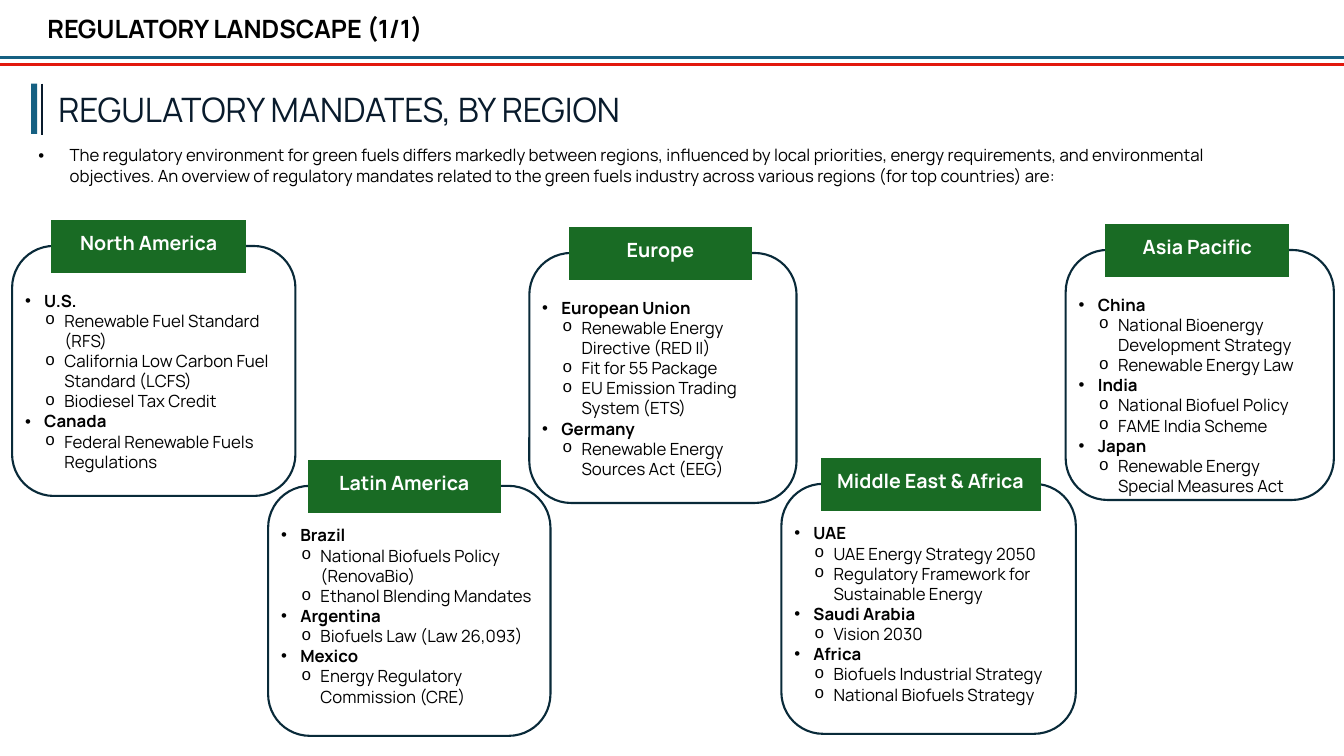
from lxml import etree
from pptx import Presentation
from pptx.dml.color import RGBColor
from pptx.enum.shapes import MSO_CONNECTOR, MSO_SHAPE
from pptx.enum.text import MSO_ANCHOR, MSO_AUTO_SIZE, PP_ALIGN
from pptx.oxml.ns import qn
from pptx.util import Inches, Pt

LEFT, CENTER = PP_ALIGN.LEFT, PP_ALIGN.CENTER
TOP, BOTTOM = MSO_ANCHOR.TOP, MSO_ANCHOR.BOTTOM
STRAIGHT = MSO_CONNECTOR.STRAIGHT
RECTANGLE, ROUNDED = MSO_SHAPE.RECTANGLE, MSO_SHAPE.ROUNDED_RECTANGLE
PROCESS = MSO_SHAPE.FLOWCHART_PROCESS
FIT_SHAPE = MSO_AUTO_SIZE.SHAPE_TO_FIT_TEXT
WIDTH, HEIGHT = 13.33, 7.5
BLUE, RED, NAVY, OUTLINE, GREEN = "156082", "E2180D", "091B2C", "092A39", "196B24"
BLACK, WHITE = "000000", "FFFFFF"

CARD_HEIGHT, LABEL_HEIGHT = 2.48, 0.53
LABEL_INSET, LABEL_RISE = 0.39, 0.26
UPPER_GAP, LOWER_GAP = 0.39, 0.34  # card top to list top

# region, card left, top and width, label width, list gap, mandates by country
REGIONS = [
    ("North America", 0.12, 2.44, 2.81, 1.93, UPPER_GAP, {
        "U.S.": ["Renewable Fuel Standard (RFS)",
                 "California Low Carbon Fuel Standard (LCFS)",
                 "Biodiesel Tax Credit"],
        "Canada": ["Federal Renewable Fuels Regulations"]}),
    ("Latin America", 2.66, 4.82, 2.8, 1.92, LOWER_GAP, {
        "Brazil": ["National Biofuels Policy (RenovaBio)",
                   "Ethanol Blending Mandates"],
        "Argentina": ["Biofuels Law (Law 26,093)"],
        "Mexico": ["Energy Regulatory Commission (CRE)"]}),
    ("Europe", 5.25, 2.51, 2.65, 1.82, UPPER_GAP, {
        "European Union": ["Renewable Energy Directive (RED II)",
                           "Fit for 55 Package",
                           "EU Emission Trading System (ETS)"],
        "Germany": ["Renewable Energy Sources Act (EEG)"]}),
    ("Middle East & Africa", 7.75, 4.8, 2.92, 2.18, LOWER_GAP, {
        "UAE": ["UAE Energy Strategy 2050",
                "Regulatory Framework for Sustainable Energy"],
        "Saudi Arabia": ["Vision 2030"],
        "Africa": ["Biofuels Industrial Strategy", "National Biofuels Strategy"]}),
    ("Asia Pacific", 10.57, 2.48, 2.66, 1.83, UPPER_GAP, {
        "China": ["National Bioenergy Development Strategy", "Renewable Energy Law"],
        "India": ["National Biofuel Policy", "FAME India Scheme"],
        "Japan": ["Renewable Energy Special Measures Act"]}),
]


def color(hex_string):
    return RGBColor.from_string(hex_string)


def write(box, lines, size, ink, align=LEFT, anchor=TOP):
    """Fill a box with (text, bold, bullet, indent, hanging) lines."""
    frame = box.text_frame
    frame.word_wrap = True
    frame.auto_size = FIT_SHAPE
    frame.vertical_anchor = anchor
    for index, (text, bold, bullet, indent, hanging) in enumerate(lines):
        paragraph = frame.add_paragraph() if index else frame.paragraphs[0]
        paragraph.alignment = align
        paragraph.space_before = Pt(0)
        if bullet:
            properties = paragraph._p.get_or_add_pPr()
            properties.set("marL", str(Inches(indent)))
            properties.set("indent", str(-Inches(hanging)))
            typeface = "Courier New" if bullet == "o" else "Arial"
            etree.SubElement(properties, qn("a:buFont"), typeface=typeface)
            etree.SubElement(properties, qn("a:buChar"), char=bullet)
        run = paragraph.add_run()
        run.text = text
        run.font.name = "Manrope"
        run.font.size = Pt(size)
        run.font.bold = bold
        run.font.color.rgb = color(ink)


deck = Presentation()
deck.slide_width, deck.slide_height = Inches(WIDTH), Inches(HEIGHT)
slide = deck.slides.add_slide(deck.slide_layouts[1])
shapes = slide.shapes

# Header, heading and introduction
header, intro = shapes.title, slide.placeholders[1]
heading = shapes.add_textbox(Inches(0.48), Inches(0.83), Inches(11.36), Inches(0.5))
for holder, place in ((header, (0.37, 0.08, 12.54, 0.4)),
                      (intro, (0, 1.39, 12.92, 0.5))):
    holder.left, holder.top, holder.width, holder.height = map(Inches, place)
write(header, [("REGULATORY LANDSCAPE (1/1)", True, None, 0, 0)], 18, BLACK)
write(heading, [("REGULATORY MANDATES, BY REGION", False, None, 0, 0)], 24, NAVY)
write(intro, [("The regulatory environment for green fuels differs markedly between "
               "regions, influenced by local priorities, energy requirements, and "
               "environmental objectives. An overview of regulatory mandates related "
               "to the green fuels industry across various regions (for top "
               "countries) are:", False, "•", 0.59, 0.31)], 12, BLACK, anchor=BOTTOM)

# Header rules and the marker beside the heading
for x1, y1, x2, y2, ink, weight in ((0, 0.57, WIDTH, 0.57, BLUE, 2.25),
                                    (0, 0.64, WIDTH, 0.64, RED, 1.5),
                                    (0.42, 0.83, 0.42, 1.34, NAVY, 1.5)):
    rule = shapes.add_connector(STRAIGHT, Inches(x1), Inches(y1), Inches(x2), Inches(y2))
    rule.line.color.rgb = color(ink)
    rule.line.width = Pt(weight)
    etree.SubElement(rule._element.spPr, qn("a:effectLst"))
marker = shapes.add_shape(RECTANGLE, Inches(0.31), Inches(0.83), Inches(0.06), Inches(0.5))
marker.shadow.inherit = False
marker.fill.solid()
marker.fill.fore_color.rgb = color(BLUE)
marker.line.fill.background()

# Region cards
for region, left, top, width, label_width, list_gap, countries in REGIONS:
    parts = shapes.add_group_shape().shapes
    card = parts.add_shape(ROUNDED, Inches(left), Inches(top),
                           Inches(width), Inches(CARD_HEIGHT))
    card.shadow.inherit = False
    card.fill.background()
    card.line.color.rgb = color(OUTLINE)
    card.line.width = Pt(1.5)

    lines = []
    for country, mandates in countries.items():
        lines.append((country, True, "•", 0.19, 0.19))
        lines += [(mandate, False, "o", 0.39, 0.19) for mandate in mandates]
    mandate_list = parts.add_textbox(Inches(left + 0.03), Inches(top + list_gap),
                                     Inches(width - 0.08), Inches(1.92))
    write(mandate_list, lines, 12, BLACK)

    label_left, label_top = left + LABEL_INSET, top - LABEL_RISE
    label = parts.add_shape(PROCESS, Inches(label_left), Inches(label_top),
                            Inches(label_width), Inches(LABEL_HEIGHT))
    label.shadow.inherit = False
    label.fill.solid()
    label.fill.fore_color.rgb = color(GREEN)
    label.line.fill.background()
    region_name = parts.add_textbox(Inches(label_left - 0.04), Inches(label_top + 0.06),
                                    Inches(label_width + 0.08), Inches(0.34))
    write(region_name, [(region, True, None, 0, 0)], 14, WHITE, CENTER)

deck.save("out.pptx")
